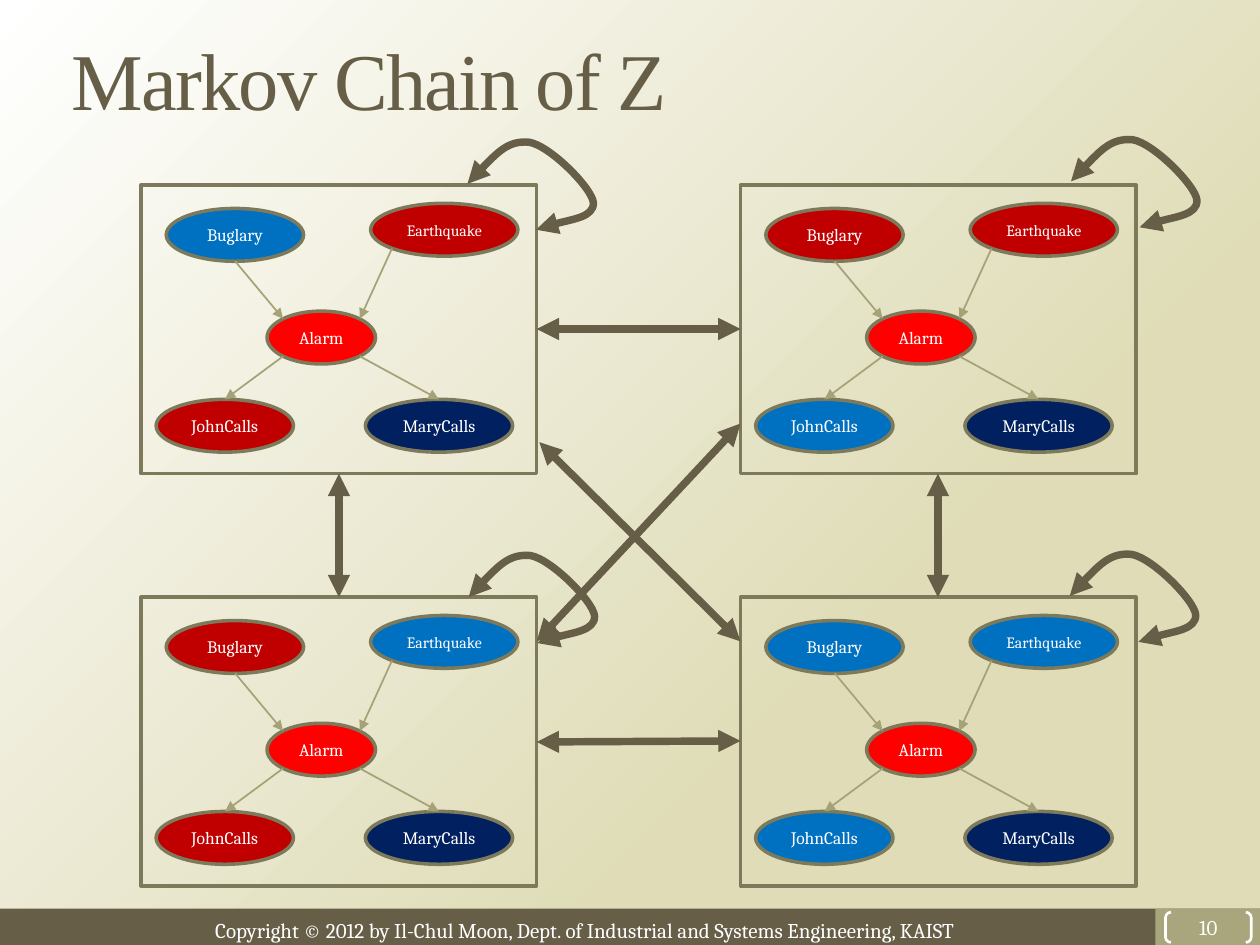
from dataclasses import dataclass

from lxml import etree
from pptx import Presentation
from pptx import util as u
from pptx.dml.color import RGBColor
from pptx.enum import shapes, text
from pptx.oxml.ns import qn


@dataclass(frozen=True)
class Theme:
    brown: str = "675E47"
    olive: str = "A9A57C"
    outline: str = "7D7A5C"
    edge: str = "A6A278"
    sand: str = "DFDCB7"
    white: str = "FFFFFF"
    red: str = "C00000"
    alarm: str = "FF0000"
    blue: str = "0070C0"
    navy: str = "002060"
    body_font: str = "Cambria"
    title_font: str = "Times New Roman"
    title_size: float = 46
    footer_size: float = 12
    node_size: float = 10
    small_size: float = 9


theme = Theme()


def write(shape, words, size, color=theme.white, font=theme.body_font, align=text.PP_ALIGN.CENTER):
    para = shape.text_frame.paragraphs[0]
    para.alignment = align
    span = para.add_run()
    span.text = words
    span.font.size = u.Pt(size)
    span.font.name = font
    span.font.color.rgb = RGBColor.from_string(color)
    return span


def draw_arrow(shape, color, width, ends):
    shape.line.color.rgb = RGBColor.from_string(color)
    shape.line.width = u.Pt(width)
    properties = shape._element.spPr
    for end in ends:
        etree.SubElement(properties.find(qn("a:ln")), qn(f"a:{end}"), type="triangle")
    etree.SubElement(properties, qn("a:effectLst"))


deck = Presentation()
deck.slide_width, deck.slide_height = u.Pt(720), u.Pt(540)
page = deck.slides.add_slide(deck.slide_layouts[6])

backdrop = page.background.fill
backdrop.gradient()
backdrop.gradient_angle = 135
for stop, position, color in zip(backdrop.gradient_stops, (0.31, 1), (theme.sand, theme.white)):
    stop.position = position
    stop.color.rgb = RGBColor.from_string(color)

for left, width, color in ((0, 720, theme.brown), (660.3, 59.7, theme.olive)):
    bar = page.shapes.add_shape(
        shapes.MSO_SHAPE.RECTANGLE, u.Pt(left), u.Pt(519.3), u.Pt(width), u.Pt(20.7)
    )
    bar.fill.solid()
    bar.fill.fore_color.rgb = RGBColor.from_string(color)
    bar.line.fill.background()
    bar.shadow.inherit = False

footer = page.shapes.add_textbox(u.Pt(115.9), u.Pt(520.6), u.Pt(468), u.Pt(21.6))
footer.text_frame.word_wrap = False
write(
    footer,
    "Copyright © 2012 by Il-Chul Moon, Dept. of Industrial and Systems Engineering, KAIST",
    theme.footer_size,
    align=text.PP_ALIGN.LEFT,
)

title = page.shapes.add_textbox(u.Pt(33.8), 0, u.Pt(663.8), u.Pt(89.3))
title.text_frame.word_wrap = True
title.text_frame.vertical_anchor = text.MSO_ANCHOR.MIDDLE
title_span = write(
    title, "Markov Chain of Z", theme.title_size, theme.brown, theme.title_font, text.PP_ALIGN.LEFT
)
title_span._r.get_or_add_rPr().set("spc", "-100")

number = page.shapes.add_shape(
    shapes.MSO_SHAPE.DOUBLE_BRACKET, u.Pt(666), u.Pt(521.3), u.Pt(49), u.Pt(17.3)
)
number.adjustments[0] = 0.18
number.fill.background()
number.line.color.rgb = RGBColor.from_string(theme.white)
number.line.width = u.Pt(1.5)
number.shadow.inherit = False
frame = number.text_frame
frame.margin_left = frame.margin_right = frame.margin_top = frame.margin_bottom = 0
frame.vertical_anchor = text.MSO_ANCHOR.MIDDLE
write(number, "10", theme.footer_size)

panel_width, panel_height = 226.1, 164.9
left_column, right_column = 80.6, 423.2
top_row, bottom_row = 105.8, 341.3
node_height = 30.2
nodes = {
    "Alarm": (72, 72, 62),
    "JohnCalls": (8.6, 122.4, 78.5),
    "MaryCalls": (128.2, 122.4, 84.2),
    "Buglary": (14.4, 13.3, 78.5),
    "Earthquake": (131.2, 10.4, 84.2),
}
edges = (
    (81.2, 97.8, 48, 122.4),
    (125, 97.8, 170.2, 122.4),
    (143.4, 36.2, 125, 76.4),
    (53.8, 43.5, 81.2, 76.4),
)
panels = (
    (left_column, top_row, theme.red, theme.blue, theme.red),
    (left_column, bottom_row, theme.red, theme.red, theme.blue),
    (right_column, top_row, theme.blue, theme.red, theme.red),
    (right_column, bottom_row, theme.blue, theme.blue, theme.blue),
)

for left, top, john, buglary, earthquake in panels:
    panel = page.shapes.add_group_shape().shapes
    fills = (theme.alarm, john, theme.navy, buglary, earthquake)
    for (name, (x, y, width)), color in zip(nodes.items(), fills):
        node = panel.add_shape(
            shapes.MSO_SHAPE.OVAL, u.Pt(left + x), u.Pt(top + y), u.Pt(width), u.Pt(node_height)
        )
        node.fill.solid()
        node.fill.fore_color.rgb = RGBColor.from_string(color)
        node.line.color.rgb = RGBColor.from_string(theme.outline)
        node.line.width = u.Pt(2)
        node.shadow.inherit = False
        node.text_frame.vertical_anchor = text.MSO_ANCHOR.MIDDLE
        write(node, name, theme.small_size if name == "Earthquake" else theme.node_size)
    for x1, y1, x2, y2 in edges:
        edge = panel.add_connector(
            shapes.MSO_CONNECTOR.STRAIGHT,
            u.Pt(left + x1), u.Pt(top + y1), u.Pt(left + x2), u.Pt(top + y2),
        )
        draw_arrow(edge, theme.edge, 1, ["tailEnd"])
    border = panel.add_shape(
        shapes.MSO_SHAPE.RECTANGLE, u.Pt(left), u.Pt(top), u.Pt(panel_width), u.Pt(panel_height)
    )
    border.fill.background()
    border.line.color.rgb = RGBColor.from_string(theme.outline)
    border.line.width = u.Pt(2)
    border.shadow.inherit = False

gap_left = left_column + panel_width
gap_top = top_row + panel_height
transitions = (
    (193.7, gap_top, 193.7, bottom_row),
    (gap_left, 424, right_column, 423.4),
    (gap_left, 188, right_column, 188),
    (536, gap_top, 536, bottom_row),
    (308.2, 252.7, right_column, 366.5),
    (gap_left, 366.5, right_column, 242),
)
for ends in transitions:
    transition = page.shapes.add_connector(shapes.MSO_CONNECTOR.STRAIGHT, *map(u.Pt, ends))
    draw_arrow(transition, theme.brown, 4.25, ["headEnd", "tailEnd"])

loop_curve = (
    (11.5, -12.7), (23.2, -25), (35.3, -23.8),
    (47.2, -21.8), (71.3, 2.5), (72, 10.8),
    (72.2, 19.1), (42.8, 24.1), (39.2, 26.2),
)
for x, y in ((612, 103.7), (267.1, 105.1), (267.8, 341.3), (611.3, 340.6)):
    builder = page.shapes.build_freeform(u.Pt(x), u.Pt(y))
    builder.add_line_segments([(u.Pt(x + dx), u.Pt(y + dy)) for dx, dy in loop_curve], close=False)
    loop = builder.convert_to_shape()
    outline = loop._element.spPr.find(".//" + qn("a:path"))
    segments = outline.findall(qn("a:lnTo"))
    for start in range(0, len(segments), 3):
        curve = etree.SubElement(outline, qn("a:cubicBezTo"))
        for segment in segments[start:start + 3]:
            curve.append(segment[0])
            outline.remove(segment)
    loop.fill.background()
    draw_arrow(loop, theme.brown, 4.25, ["headEnd", "tailEnd"])

deck.save("out.pptx")
